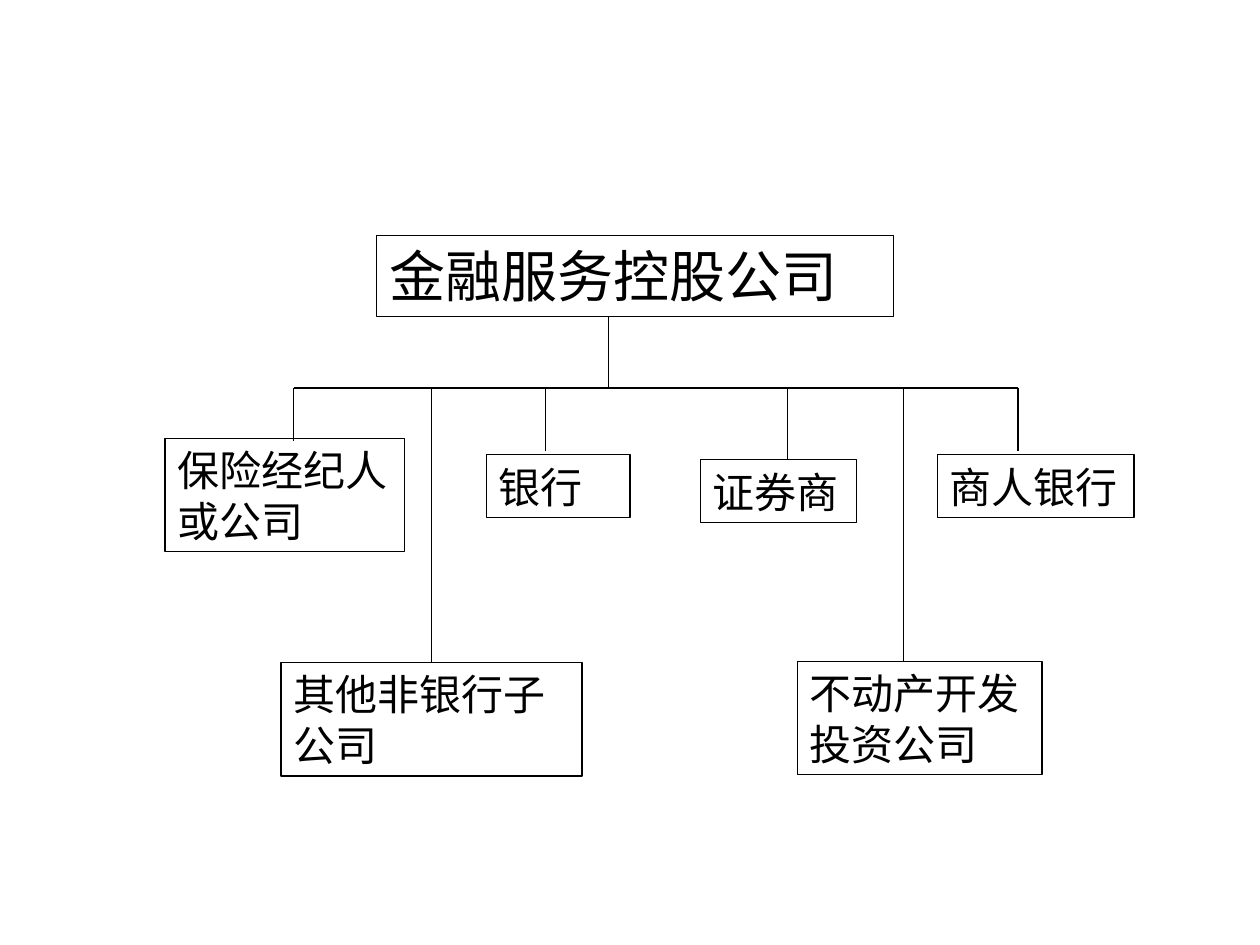
from dataclasses import dataclass
from typing import Optional

from lxml.etree import SubElement
from pptx import Presentation
from pptx.dml.color import RGBColor
from pptx.enum.shapes import MSO_CONNECTOR, MSO_SHAPE
from pptx.enum.text import MSO_ANCHOR, MSO_AUTO_SIZE, PP_ALIGN
from pptx.oxml.ns import qn
from pptx.shapes.autoshape import Shape
from pptx.slide import Slide
from pptx.util import Inches, Pt


@dataclass(frozen=True)
class Theme:
    ink: RGBColor = RGBColor(0, 0, 0)
    paper: RGBColor = RGBColor(255, 255, 255)
    font: str = "Times New Roman"
    parent_size: int = 32
    unit_size: int = 24
    line_width: float = 0.75


@dataclass(frozen=True)
class Unit:
    text: str
    left: float
    top: float
    width: float
    height: float
    size: int


@dataclass(frozen=True)
class Line:
    x1: float
    y1: float
    x2: float
    y2: float
    target: Optional[str] = None


THEME = Theme()
BUS_Y = 3.08
PARENT_X = 4.83
ONE_ROW, TWO_ROWS = 0.5, 0.9

PARENT = Unit("金融服务控股公司", 2.99, 1.87, 4.1, 0.64, THEME.parent_size)
INSURER = Unit("保险经纪人或公司", 1.31, 3.48, 1.9, TWO_ROWS, THEME.unit_size)
NON_BANK = Unit("其他非银行子公司", 2.23, 5.26, 2.39, TWO_ROWS, THEME.unit_size)
BANK = Unit("银行", 3.86, 3.61, 1.14, ONE_ROW, THEME.unit_size)
PROPERTY = Unit("不动产开发投资公司", 6.33, 5.25, 1.94, TWO_ROWS, THEME.unit_size)
MERCHANT = Unit("商人银行", 7.44, 3.61, 1.56, ONE_ROW, THEME.unit_size)
BROKER = Unit("证券商", 5.56, 3.65, 1.24, ONE_ROW, THEME.unit_size)

BEHIND_LINES = [INSURER, NON_BANK, BANK, PROPERTY, MERCHANT]
OVER_LINES = [PARENT, BROKER]

# Horizontal place and lower end of each branch, with the box it joins
BRANCHES = [
    (2.33, 3.5, None),
    (4.33, 3.58, None),
    (6.25, 3.67, None),
    (8.08, 3.58, None),
    (3.42, 5.25, NON_BANK.text),
    (7.17, 5.25, None),
]
BRANCH_XS = [x for x, _, _ in BRANCHES]
LINES = [
    Line(PARENT_X, 2.5, PARENT_X, BUS_Y),
    Line(min(BRANCH_XS), BUS_Y, max(BRANCH_XS), BUS_Y),
    *(Line(x, BUS_Y, x, end, target) for x, end, target in BRANCHES),
]


def add_unit(page: Slide, unit: Unit) -> Shape:
    box = page.shapes.add_shape(
        MSO_SHAPE.RECTANGLE,
        *(Inches(v) for v in (unit.left, unit.top, unit.width, unit.height)),
    )
    box.shadow.inherit = False
    box.fill.solid()
    box.fill.fore_color.rgb = THEME.paper
    box.line.color.rgb = THEME.ink
    box.line.width = Pt(THEME.line_width)

    frame = box.text_frame
    frame_format = {
        "word_wrap": True,
        "auto_size": MSO_AUTO_SIZE.SHAPE_TO_FIT_TEXT,
        "vertical_anchor": MSO_ANCHOR.TOP,
        "margin_left": Inches(0.1),
        "margin_right": Inches(0.1),
        "margin_top": Inches(0.05),
        "margin_bottom": Inches(0.05),
    }
    for name, value in frame_format.items():
        setattr(frame, name, value)

    para = frame.paragraphs[0]
    para.alignment = PP_ALIGN.LEFT
    span = para.add_run()
    span.text = unit.text
    for name, value in {"name": THEME.font, "size": Pt(unit.size)}.items():
        setattr(span.font, name, value)
    span.font.color.rgb = THEME.ink
    return box


def add_line(page: Slide, line: Line, boxes: dict[str, Shape]) -> None:
    """Draw a line, joined to the top of its target box if it has one."""
    connector = page.shapes.add_connector(
        MSO_CONNECTOR.STRAIGHT,
        *(Inches(v) for v in (line.x1, line.y1, line.x2, line.y2)),
    )
    if line.target:
        connector.end_connect(boxes[line.target], 0)
        connector.begin_x = connector.end_x
    connector.line.color.rgb = THEME.ink
    connector.line.width = Pt(THEME.line_width)
    SubElement(connector._element.spPr, qn("a:effectLst"))


def main() -> None:
    deck = Presentation()
    deck.slide_width, deck.slide_height = Inches(10), Inches(7.5)
    page = deck.slides.add_slide(deck.slide_layouts.get_by_name("Blank"))

    boxes = {unit.text: add_unit(page, unit) for unit in BEHIND_LINES}
    for line in LINES:
        add_line(page, line, boxes)
    for unit in OVER_LINES:
        add_unit(page, unit)

    deck.save("out.pptx")


if __name__ == "__main__":
    main()
